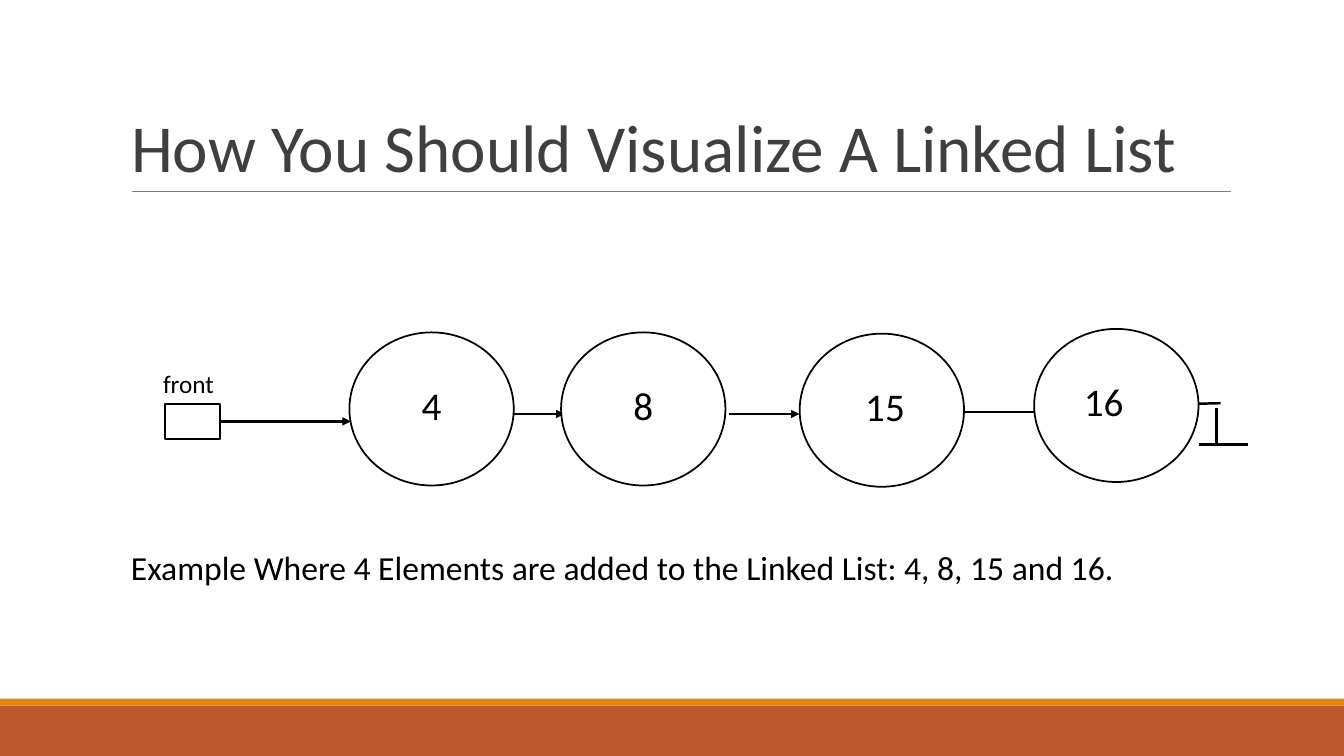
from dataclasses import dataclass

from lxml import etree
from pptx import Presentation
from pptx.dml.color import RGBColor
from pptx.enum.shapes import MSO_CONNECTOR, MSO_SHAPE
from pptx.enum.text import MSO_ANCHOR, MSO_AUTO_SIZE, PP_ALIGN
from pptx.oxml.ns import qn
from pptx.shapes.autoshape import Shape
from pptx.slide import Slide
from pptx.text.text import TextFrame
from pptx.util import Pt

RECTANGLE = MSO_SHAPE.RECTANGLE
OVAL = MSO_SHAPE.OVAL
STRAIGHT = MSO_CONNECTOR.STRAIGHT
LEFT, CENTER = PP_ALIGN.LEFT, PP_ALIGN.CENTER
TOP, MIDDLE, BOTTOM = MSO_ANCHOR.TOP, MSO_ANCHOR.MIDDLE, MSO_ANCHOR.BOTTOM
NO_AUTOFIT = MSO_AUTO_SIZE.NONE
TITLE_ONLY_LAYOUT = 5


@dataclass(frozen=True)
class Theme:
    font: str = "Calibri"
    title_size: float = 48
    node_size: float = 28
    caption_size: float = 24
    pointer_size: float = 18
    outline_width: float = 1.25
    title: str = "3F3F3F"
    ink: str = "000000"
    paper: str = "FFFFFF"
    rule: str = "7F7F7F"
    footer: str = "BD582C"
    footer_strip: str = "E48312"


@dataclass(frozen=True)
class Box:
    left: float
    top: float
    width: float
    height: float

    def lengths(self) -> tuple[Pt, Pt, Pt, Pt]:
        return Pt(self.left), Pt(self.top), Pt(self.width), Pt(self.height)


@dataclass(frozen=True)
class Node:
    value: str
    left: float
    top: float
    label_offset: float
    label_width: float


@dataclass(frozen=True)
class Line:
    start: tuple[float, float]
    end: tuple[float, float]
    width: float = 1.75
    arrow: bool = False
    color: str = Theme.ink


THEME = Theme()
SLIDE_WIDTH, SLIDE_HEIGHT = 960, 540
NODE_WIDTH, NODE_HEIGHT = 117.4, 109.4
LABEL_TOP, LABEL_HEIGHT = 39, 25.2

TITLE_RULE = Line((94.3, 136.8), (879.1, 136.8), 0.75, color=THEME.rule)
NODES = [
    Node("4", 249.6, 237.4, 38.9, 39.6),
    Node("8", 400.8, 237.4, 38.9, 39.6),
    Node("15", 571.2, 238.3, 39.4, 43.2),
    Node("16", 738.7, 234.9, 20.9, 57.6),
]
LINKS = [
    Line((157.2, 301), (250.6, 301), arrow=True),
    Line((367.2, 295.7), (403.2, 295.7), arrow=True),
    Line((520.6, 295.7), (571, 295.7), arrow=True),
    Line((689, 294.3), (746.6, 294.3), arrow=True),
]
END_MARK = [
    Line((843.1, 288.7), (871.9, 288)),
    Line((856.1, 317.4), (891.4, 317.4)),
    Line((869, 291.6), (869, 317.4), 2),
]


def write(frame: TextFrame, text: str, size: float, color: str = THEME.ink,
          align: PP_ALIGN = LEFT, anchor: MSO_ANCHOR = TOP) -> None:
    frame.word_wrap = True
    frame.auto_size = NO_AUTOFIT
    frame.vertical_anchor = anchor
    frame.text = text
    paragraph = frame.paragraphs[0]
    paragraph.alignment = align
    paragraph.font.name = THEME.font
    paragraph.font.size = Pt(size)
    paragraph.font.color.rgb = RGBColor.from_string(color)


def add_filled(slide: Slide, kind: MSO_SHAPE, box: Box, fill: str,
               outlined: bool = False) -> Shape:
    shape = slide.shapes.add_shape(kind, *box.lengths())
    shape.shadow.inherit = False
    shape.fill.solid()
    shape.fill.fore_color.rgb = RGBColor.from_string(fill)
    if outlined:
        shape.line.color.rgb = RGBColor.from_string(THEME.ink)
        shape.line.width = Pt(THEME.outline_width)
    else:
        shape.line.fill.background()
    return shape


def add_line(slide: Slide, line: Line) -> None:
    ends = [Pt(value) for value in (*line.start, *line.end)]
    connector = slide.shapes.add_connector(STRAIGHT, *ends)
    connector.line.color.rgb = RGBColor.from_string(line.color)
    connector.line.width = Pt(line.width)
    properties = connector._element.spPr
    if line.arrow:
        outline = properties.find(qn("a:ln"))
        etree.SubElement(outline, qn("a:tailEnd"), type="triangle")
    etree.SubElement(properties, qn("a:effectLst"))


def add_node(slide: Slide, node: Node) -> None:
    circle = Box(node.left, node.top, NODE_WIDTH, NODE_HEIGHT)
    add_filled(slide, OVAL, circle, THEME.paper, outlined=True)
    label_box = Box(node.left + node.label_offset, node.top + LABEL_TOP,
                    node.label_width, LABEL_HEIGHT)
    label = add_filled(slide, RECTANGLE, label_box, THEME.paper)
    frame = label.text_frame
    frame.margin_left = frame.margin_right = Pt(0)
    write(frame, node.value, THEME.node_size, align=CENTER, anchor=MIDDLE)


def add_text(slide: Slide, box: Box, text: str, size: float) -> None:
    write(slide.shapes.add_textbox(*box.lengths()).text_frame, text, size)


def add_title(slide: Slide, box: Box, text: str) -> None:
    title = slide.shapes.title
    title.left, title.top, title.width, title.height = box.lengths()
    write(title.text_frame, text, THEME.title_size, THEME.title, anchor=BOTTOM)
    title.text_frame.paragraphs[0].line_spacing = 0.85


def main() -> None:
    presentation = Presentation()
    presentation.slide_width = Pt(SLIDE_WIDTH)
    presentation.slide_height = Pt(SLIDE_HEIGHT)
    layout = presentation.slide_layouts[TITLE_ONLY_LAYOUT]
    slide = presentation.slides.add_slide(layout)

    add_filled(slide, RECTANGLE, Box(0, 504, SLIDE_WIDTH, 36), THEME.footer)
    add_filled(slide, RECTANGLE, Box(0, 499, SLIDE_WIDTH, 5), THEME.footer_strip)
    add_line(slide, TITLE_RULE)
    add_title(slide, Box(86.4, 22.3, 792, 114.5),
              "How You Should Visualize A Linked List")

    add_filled(slide, RECTANGLE, Box(118, 288.7, 39.4, 25), THEME.paper, outlined=True)
    add_text(slide, Box(109.4, 259.9, 72, 28.8), "front", THEME.pointer_size)

    # The first link ends on top of its node; later nodes cover the links.
    first_node, *later_nodes = NODES
    add_node(slide, first_node)
    for line in LINKS + END_MARK:
        add_line(slide, line)
    for node in later_nodes:
        add_node(slide, node)

    add_text(slide, Box(86.4, 387.4, 769, 36),
             "Example Where 4 Elements are added to the Linked List: 4, 8, 15 and 16.",
             THEME.caption_size)
    presentation.save("out.pptx")


if __name__ == "__main__":
    main()
